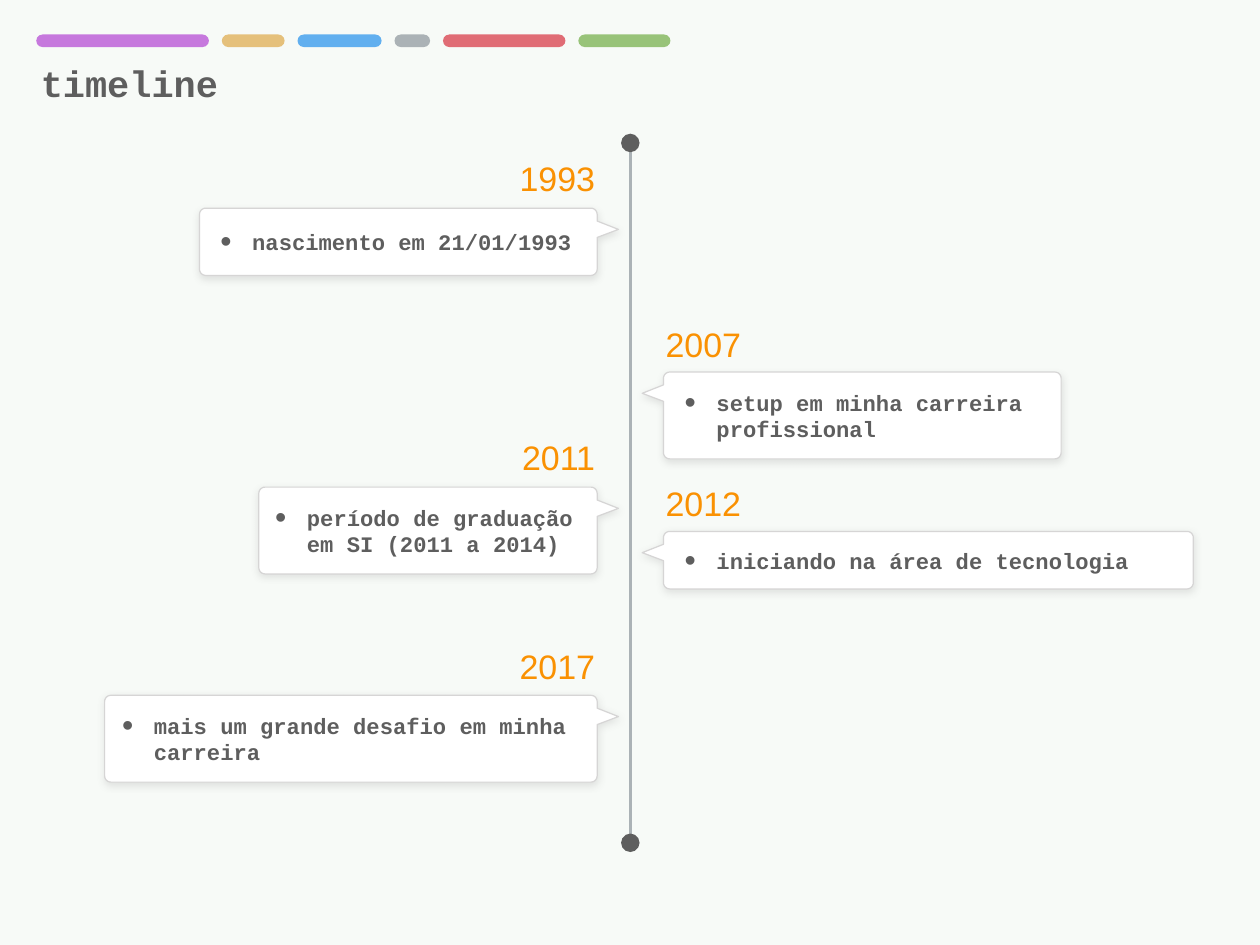
"""Build the vertical career timeline slide."""
from dataclasses import dataclass
from math import cos, radians, sin

from lxml.etree import SubElement
from pptx import Presentation
from pptx.dml.color import RGBColor
from pptx.enum.shapes import MSO_CONNECTOR, MSO_SHAPE
from pptx.enum.text import MSO_ANCHOR as Anchor, MSO_AUTO_SIZE as AutoSize, PP_ALIGN as Align
from pptx.oxml.ns import qn
from pptx.shapes.base import BaseShape
from pptx.slide import Slide
from pptx.text.text import TextFrame, _Paragraph as Paragraph
from pptx.util import Cm, Pt

GREY, SILVER, ORANGE = "5E5E5E", "ABB2B6", "FA9102"
AXIS = 18.07
LEFT, RIGHT = -1, 1
RAIL_TOP, RAIL_BOTTOM, DOT = 4.1, 24.17, 0.53
CARD_GAP, TIP_GAP, TEXT_GAP, YEAR_GAP = 0.95, 0.34, 1.41, 0.86
CORNER = 0.18
YEAR_WIDTH, YEAR_HEIGHT = 2.84, 1.78
YEAR_RISE = {LEFT: 1.9, RIGHT: 1.85}
LINE_HEIGHT, TEXT_PADDING = 0.71, 0.28


@dataclass
class Bar:
    """A coloured header bar."""
    width: float
    colour: str


@dataclass
class Event:
    """A dated card beside the axis."""
    year: str
    text: str
    side: int
    top: float
    width: float
    height: float
    text_width: float
    lines: int


BARS = [
    Bar(4.95, "C678DD"),
    Bar(1.8, "E5C07B"),
    Bar(2.41, "61AFEF"),
    Bar(1.02, SILVER),
    Bar(3.51, "E06C75"),
    Bar(2.64, "98C379"),
]
EVENTS = [
    Event("1993", "nascimento em 21/01/1993", LEFT, 5.97, 11.4, 1.93, 10.49, 1),
    Event("2007", "setup em minha carreira profissional", RIGHT, 10.67, 11.4, 2.49, 10.39, 2),
    Event("2011", "período de graduação em SI (2011 a 2014)", LEFT, 13.97, 9.7, 2.49, 8.92, 2),
    Event("2012", "iniciando na área de tecnologia", RIGHT, 15.24, 15.19, 1.65, 14.38, 1),
    Event("2017", "mais um grande desafio em minha carreira", LEFT, 19.94, 14.12, 2.49, 13.31, 2),
]


def colour_of(value: str) -> RGBColor:
    """Turn a hex string into a colour."""
    return RGBColor.from_string(value)


def paint(shape: BaseShape, fill: str) -> None:
    """Give a shape a flat fill without outline or shadow."""
    shape.shadow.inherit = False
    shape.fill.solid()
    shape.fill.fore_color.rgb = colour_of(fill)
    shape.line.fill.background()


def prepare(frame: TextFrame, anchor: Anchor) -> Paragraph:
    """Set the margins and wrapping and return the first paragraph."""
    frame.word_wrap = True
    frame.auto_size = AutoSize.NONE
    frame.vertical_anchor = anchor
    frame.margin_left = frame.margin_right = Cm(0.15)
    frame.margin_top = frame.margin_bottom = Cm(0.15)
    return frame.paragraphs[0]


def add_span(para: Paragraph, text: str, font: str, size: float, colour: str, bold: bool) -> None:
    """Add one formatted run."""
    span = para.add_run()
    span.text = text
    span.font.name = font
    span.font.size = Pt(size)
    span.font.bold = bold
    span.font.color.rgb = colour_of(colour)


def add_bullet(para: Paragraph) -> None:
    """Give a paragraph a large grey bullet and a hanging indent."""
    props = para._p.get_or_add_pPr()
    props.set("marL", str(Cm(0.91)))
    props.set("indent", str(-Cm(0.91)))
    SubElement(SubElement(props, qn("a:buClr")), qn("a:srgbClr"), val=GREY)
    SubElement(props, qn("a:buSzPct"), val="145000")
    SubElement(props, qn("a:buFont"), typeface="Arial")
    SubElement(props, qn("a:buChar"), char="•")


def add_soft_shadow(shape: BaseShape) -> None:
    """Add a faint shadow that falls straight down."""
    shape.shadow.inherit = False
    effects = shape._element.spPr.find(qn("a:effectLst"))
    shadow = SubElement(effects, qn("a:outerShdw"), blurRad=str(Pt(6)), dist=str(Pt(2.1)),
                        dir="5400000", rotWithShape="0")
    tint = SubElement(shadow, qn("a:srgbClr"), val=GREY)
    SubElement(tint, qn("a:alpha"), val="15000")


def beside_axis(side: int, gap: float, width: float) -> float:
    """Return the left edge of a box set off from the axis."""
    return AXIS + gap if side == RIGHT else AXIS - gap - width


def add_card(page: Slide, event: Event) -> None:
    """Draw a rounded card whose tail points at the axis."""
    near, far = CARD_GAP + CORNER, CARD_GAP + event.width - CORNER
    high, low = event.top + CORNER, event.top + event.height - CORNER
    corners = [(near, high, 180), (far, high, 270), (far, low, 0), (near, low, 90)]
    outline = [
        (x + CORNER * cos(radians(start + turn)), y + CORNER * sin(radians(start + turn)))
        for x, y, start in corners
        for turn in range(0, 91, 15)
    ]
    outline += [(CARD_GAP, event.top + 0.84), (TIP_GAP, event.top + 0.61),
                (CARD_GAP, event.top + 0.37)]
    points = [(Cm(AXIS + event.side * x), Cm(y)) for x, y in outline]
    builder = page.shapes.build_freeform(*points[0], scale=1.0)
    builder.add_line_segments(points[1:], close=True)
    card = builder.convert_to_shape()
    paint(card, "FFFFFF")
    card.line.color.rgb = colour_of("D6D5D5")
    card.line.width = Pt(1)
    add_soft_shadow(card)


def add_event(page: Slide, event: Event) -> None:
    """Draw a card with its year and its bulleted text."""
    add_card(page, event)
    box = page.shapes.add_textbox(
        Cm(beside_axis(event.side, YEAR_GAP, YEAR_WIDTH)), Cm(event.top - YEAR_RISE[event.side]),
        Cm(YEAR_WIDTH), Cm(YEAR_HEIGHT))
    para = prepare(box.text_frame, Anchor.BOTTOM)
    para.alignment = Align.LEFT if event.side == RIGHT else Align.RIGHT
    add_span(para, event.year, "Arial", 27.6, ORANGE, False)

    height = TEXT_PADDING + LINE_HEIGHT * event.lines
    box = page.shapes.add_textbox(
        Cm(beside_axis(event.side, TEXT_GAP, event.text_width)),
        Cm(event.top + (event.height - height) / 2), Cm(event.text_width), Cm(height))
    para = prepare(box.text_frame, Anchor.MIDDLE)
    add_bullet(para)
    add_span(para, event.text, "Courier New", 18, GREY, True)


def add_header(page: Slide) -> None:
    """Draw the row of bars and the title."""
    left = 1.04
    for bar in BARS:
        shape = page.shapes.add_shape(
            MSO_SHAPE.ROUNDED_RECTANGLE, Cm(left), Cm(0.99), Cm(bar.width), Cm(0.36))
        shape.adjustments[0] = 0.5
        paint(shape, bar.colour)
        left += bar.width + 0.37
    title = page.shapes.title
    title.left, title.top, title.width, title.height = Cm(1.02), Cm(1.63), Cm(5.6), Cm(1.47)
    para = prepare(title.text_frame, Anchor.MIDDLE)
    para.alignment = Align.LEFT
    add_span(para, "timeline", "Courier New", 30, GREY, True)


def add_axis(page: Slide) -> None:
    """Draw the vertical rail with a dot at each end."""
    rail = page.shapes.add_connector(
        MSO_CONNECTOR.STRAIGHT, Cm(AXIS), Cm(RAIL_TOP), Cm(AXIS), Cm(RAIL_BOTTOM))
    rail.line.color.rgb = colour_of(SILVER)
    rail.line.width = Pt(2)
    SubElement(rail._element.spPr, qn("a:effectLst"))
    for middle in (RAIL_TOP, RAIL_BOTTOM):
        dot = page.shapes.add_shape(
            MSO_SHAPE.OVAL, Cm(AXIS - DOT / 2), Cm(middle - DOT / 2), Cm(DOT), Cm(DOT))
        paint(dot, GREY)


def main() -> None:
    """Build and save the deck."""
    deck = Presentation()
    deck.slide_width, deck.slide_height = Cm(36.12), Cm(27.1)
    page = deck.slides.add_slide(deck.slide_layouts[5])
    page.background.fill.solid()
    page.background.fill.fore_color.rgb = colour_of("F7FAF7")
    add_header(page)
    add_axis(page)
    for event in EVENTS:
        add_event(page, event)
    deck.save("out.pptx")


if __name__ == "__main__":
    main()
